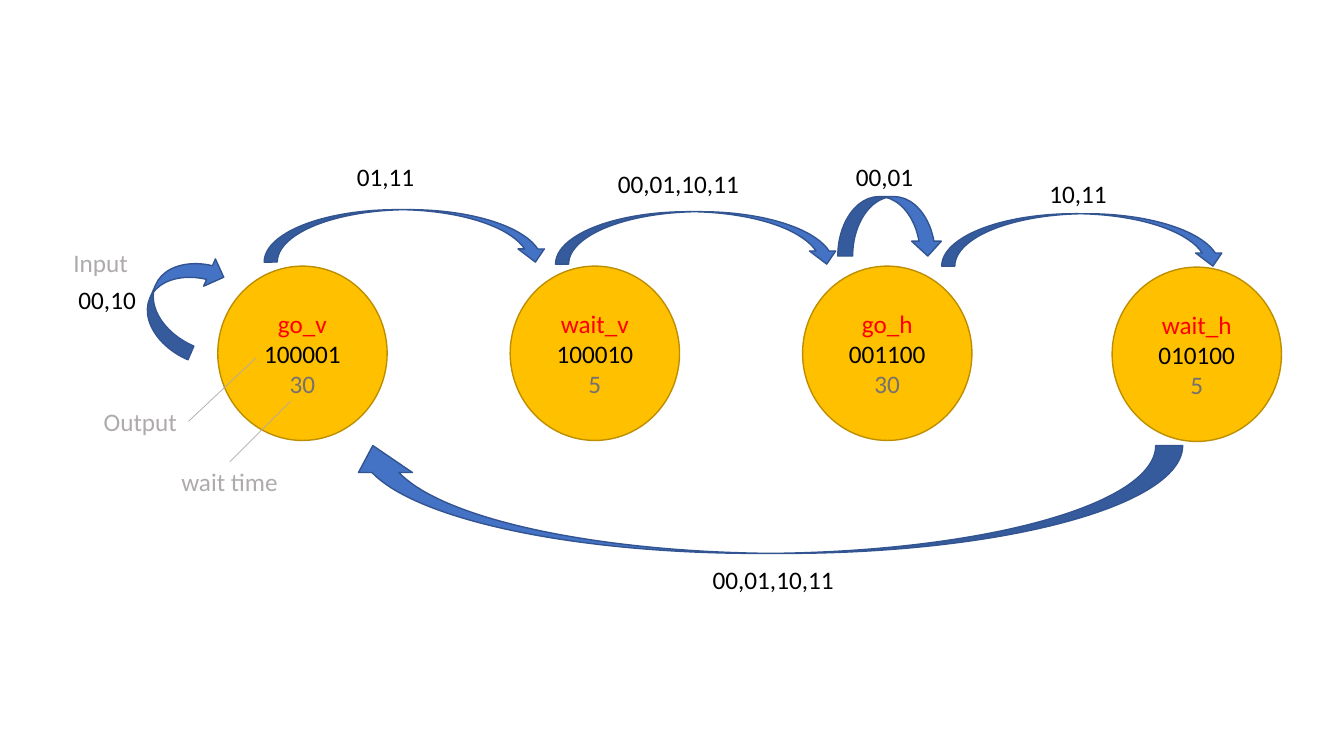
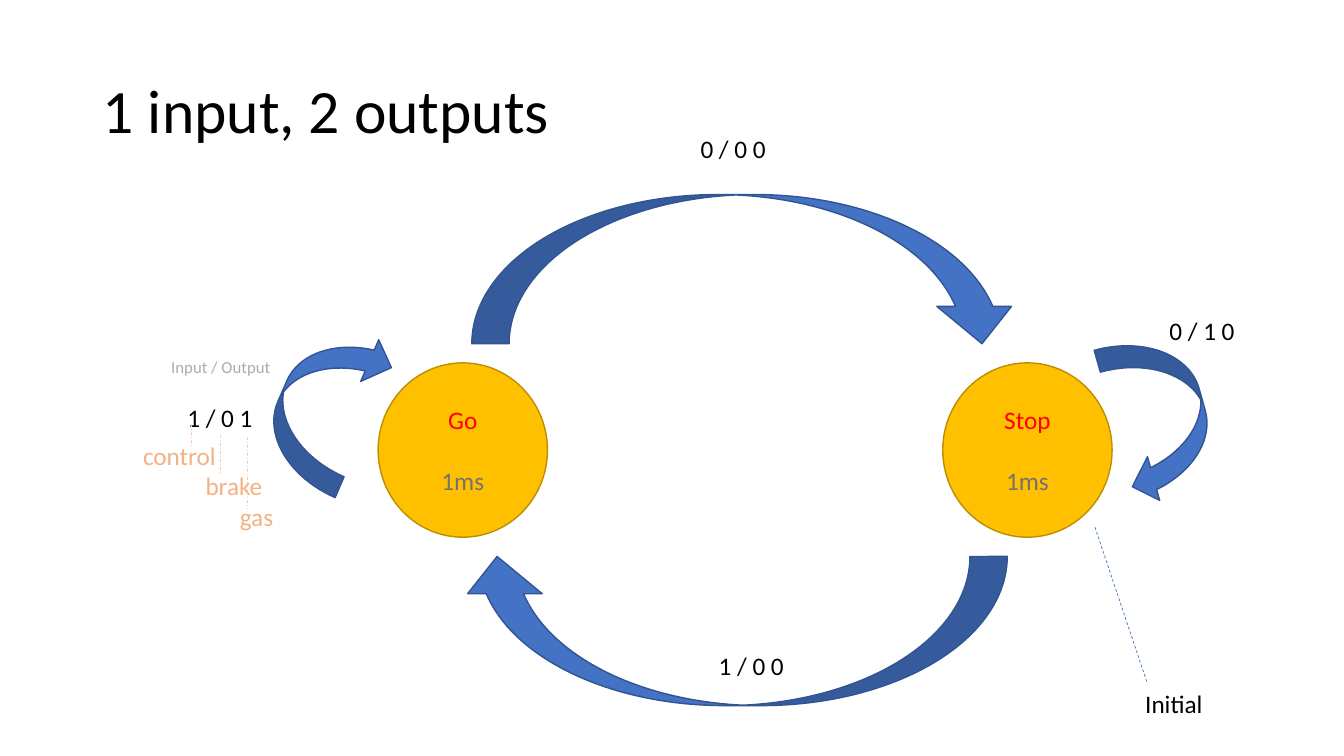
import pptx
import pptx.dml.color
import pptx.enum.dml
import pptx.enum.shapes
import pptx.enum.text
import pptx.oxml
import pptx.util
import lxml.etree

Inches = pptx.util.Inches
Pt = pptx.util.Pt
Shape = pptx.enum.shapes.MSO_SHAPE
Dash = pptx.enum.dml.MSO_LINE
Align = pptx.enum.text.PP_ALIGN
Fit = pptx.enum.text.MSO_AUTO_SIZE
Anchor = pptx.enum.text.MSO_ANCHOR

HUES = {
    "black": "000000", "red": "FF0000", "dim": "767171", "note": "AFABAB",
    "gold": "FFC000", "rim": "BD8E00", "blue": "4472C4", "navy": "325491",
    "peach": "F4B183", "pale": "F8CBAD",
}
FONT = "Calibri"


class Deck:
    """Hold the shared style and the current slide."""

    def __init__(self):
        self.file = pptx.Presentation()
        self.file.slide_width = Inches(13.33)
        self.file.slide_height = Inches(7.5)
        self.slide = None

    def hue(self, name):
        return pptx.dml.color.RGBColor.from_string(HUES[name])

    def page(self, title=None):
        layout = self.file.slide_layouts[5 if title else 6]
        self.slide = self.file.slides.add_slide(layout)
        if title:
            head = self.slide.shapes.title
            head.left, head.top = Inches(0.92), Inches(0.4)
            head.width, head.height = Inches(11.5), Inches(1.45)
            frame = head.text_frame
            frame.auto_size = Fit.NONE
            frame.vertical_anchor = Anchor.MIDDLE
            para = frame.paragraphs[0]
            para.alignment = Align.LEFT
            para.line_spacing = 0.9
            self.run(para, title, "black", 44)

    def run(self, para, text, hue, size=18):
        run = para.add_run()
        run.text = text
        run.font.name = FONT
        run.font.size = Pt(size)
        run.font.color.rgb = self.hue(hue)

    def lines(self, frame, rows, size=18):
        for i, (text, hue) in enumerate(rows):
            para = frame.add_paragraph() if i else frame.paragraphs[0]
            self.run(para, text, hue, size)
        return frame.paragraphs

    def shape(self, kind, x, y, w, h, fill, edge):
        shape = self.slide.shapes.add_shape(
            kind, Inches(x), Inches(y), Inches(w), Inches(h))
        shape.shadow.inherit = False
        shape.fill.solid()
        shape.fill.fore_color.rgb = self.hue(fill)
        shape.line.color.rgb = self.hue(edge)
        shape.line.width = Pt(1)
        return shape

    def state(self, x, y, rows, gap=0):
        node = self.shape(Shape.OVAL, x, y, 1.68, 1.73, "gold", "rim")
        frame = node.text_frame
        frame.vertical_anchor = Anchor.MIDDLE
        paras = self.lines(frame, rows)
        for para in paras:
            para.alignment = Align.CENTER
        paras[-1].space_before = Pt(gap)

    def arrow(self, x, y, w, h, turn=0):
        arc = self.shape(Shape.CURVED_DOWN_ARROW, x, y, w, h, "blue", "navy")
        arc.rotation = turn

    def label(self, x, y, w, rows, h=0.4, size=18, wrap=False, steps=()):
        box = self.slide.shapes.add_textbox(
            Inches(x), Inches(y), Inches(w), Inches(h))
        frame = box.text_frame
        frame.word_wrap = wrap
        frame.auto_size = Fit.SHAPE_TO_FIT_TEXT
        paras = self.lines(frame, rows, size)
        for para, step in zip(paras, steps):
            para._p.get_or_add_pPr().set("marL", str(Inches(step)))

    def line(self, x1, y1, x2, y2, hue, dash=None):
        link = self.slide.shapes.add_connector(
            pptx.enum.shapes.MSO_CONNECTOR.STRAIGHT,
            Inches(x1), Inches(y1), Inches(x2), Inches(y2))
        link.line.color.rgb = self.hue(hue)
        link.line.width = Pt(0.5)
        if dash:
            link.line.dash_style = dash
        lxml.etree.SubElement(
            link._element.spPr, pptx.oxml.ns.qn("a:effectLst"))


def lights(deck):
    deck.page()
    for x, y, name, out, wait in (
            (2.16, 2.64, "go_v", "100001", "30"),
            (5.06, 2.64, "wait_v", "100010", "5"),
            (7.96, 2.64, "go_h", "001100", "30"),
            (11.03, 2.65, "wait_h", "010100", "5")):
        deck.state(x, y, [(name, "red"), (out, "black"), (wait, "dim")])

    for x, y in ((2.62, 2.08), (5.51, 2.1), (9.34, 2.12)):
        deck.arrow(x, y, 2.82, 0.52)
    deck.arrow(3.43, 4.42, 8.3, 1.07, 180)
    deck.arrow(1.28, 2.68, 1.04, 0.59, 293.4)
    deck.arrow(8.31, 1.95, 1.04, 0.59)

    for x, y, w, text, hue in (
            (6.97, 5.55, 1.42, "00,01,10,11", "black"),
            (0.68, 2.77, 0.78, "00,10", "black"),
            (3.44, 1.55, 0.78, "01,11", "black"),
            (6.03, 1.62, 1.42, "00,01,10,11", "black"),
            (8.39, 1.55, 0.78, "00,01", "black"),
            (10.31, 1.72, 0.78, "10,11", "black"),
            (1.7, 4.58, 1.17, "wait time", "note"),
            (0.93, 3.98, 0.94, "Output", "note"),
            (0.63, 2.4, 0.75, "Input", "note")):
        deck.label(x, y, w, [(text, hue)])
    deck.line(2.54, 3.55, 1.87, 4.18, "note")
    deck.line(2.88, 3.98, 2.28, 4.58, "note")


def pedals(deck):
    deck.page("1 input, 2 outputs")
    for x, name in ((3.75, "Go"), (9.35, "Stop")):
        deck.state(x, 3.6, [(name, "red"), ("1ms", "dim")], 22)

    deck.arrow(10.69, 3.69, 1.63, 0.9, 74.4)
    deck.arrow(2.42, 3.56, 1.63, 0.9, 293.4)
    deck.arrow(4.68, 1.93, 5.43, 1.48)
    deck.arrow(4.56, 5.52, 5.43, 1.48, 180)

    for x, y, w, text in (
            (6.85, 1.27, 0.86, "0 / 0 0"),
            (11.5, 3.08, 0.86, "0 / 1 0"),
            (7.03, 6.4, 0.86, "1 / 0 0"),
            (1.76, 3.94, 0.86, "1 / 0 1"),
            (11.26, 6.78, 0.78, "Initial")):
        deck.label(x, y, w, [(text, "black")])
    deck.line(10.86, 5.23, 11.38, 6.78, "blue", Dash.DASH)

    deck.label(1.6, 3.49, 1.7, [("Input / Output", "note")],
               h=0.3, size=12, wrap=True)
    parts = [(part, "peach") for part in ("control", "brake", "gas")]
    deck.label(1.15, 4.32, 1.75, parts, h=1.01, wrap=True,
               steps=(0.17, 0.79, 1.13))
    for x, top, end in ((2.45, 4.34, 5.05), (2.19, 4.32, 4.69),
                        (1.9, 4.21, 4.43)):
        deck.line(x, top, x, end, "pale", Dash.DASH_DOT)


deck = Deck()
lights(deck)
pedals(deck)
deck.file.save("out.pptx")
